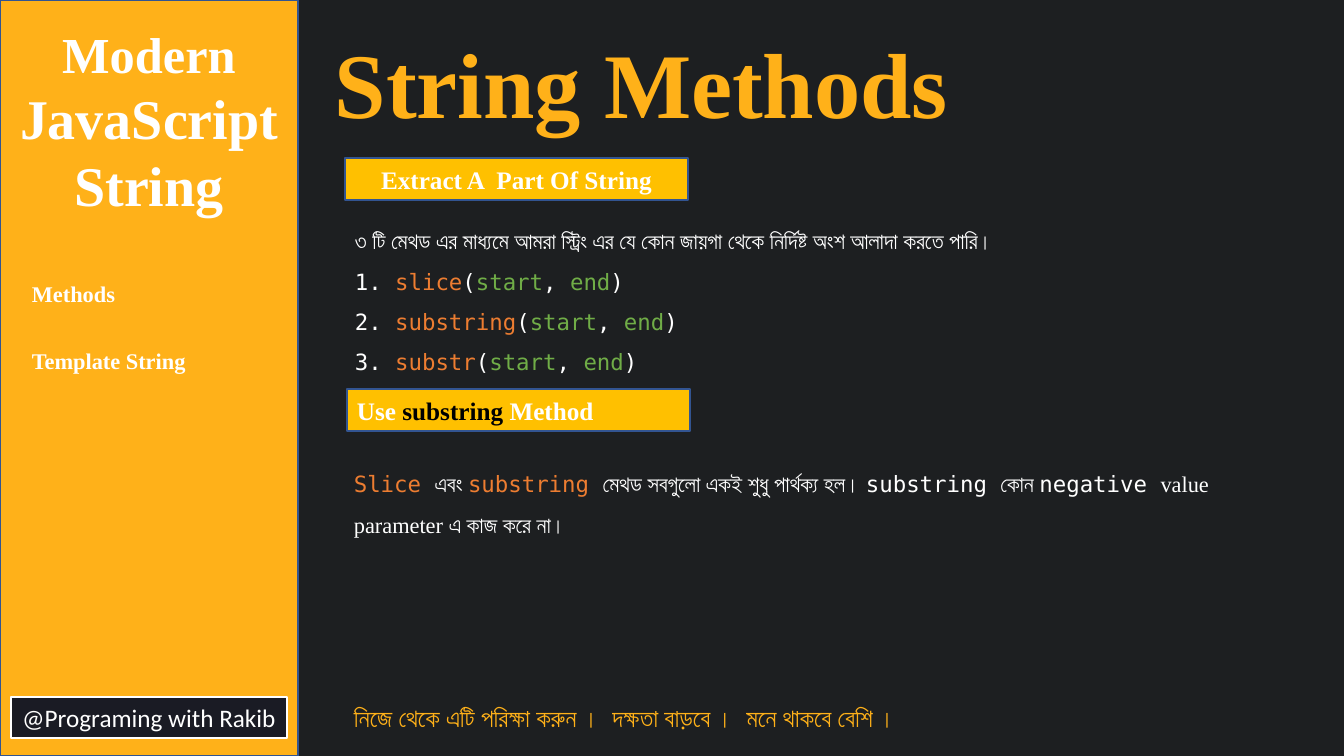
"""Build the slide on JavaScript string methods."""
import lxml.etree
import pptx
import pptx.dml.color
import pptx.enum.shapes
import pptx.enum.text
import pptx.oxml
import pptx.oxml.ns
import pptx.util

RGBColor = pptx.dml.color.RGBColor
DARK = RGBColor(0x1D, 0x1F, 0x21)
AMBER = RGBColor(0xFF, 0xB1, 0x19)
GOLD = RGBColor(0xFF, 0xC0, 0x00)
NAVY = RGBColor(0x1A, 0x1B, 0x24)
BLUE = RGBColor(0x32, 0x54, 0x91)
WHITE = RGBColor(0xFF, 0xFF, 0xFF)
BLACK = RGBColor(0x00, 0x00, 0x00)
ORANGE = RGBColor(0xED, 0x7D, 0x31)
GREEN = RGBColor(0x70, 0xAD, 0x47)
SERIF = "Times New Roman"
MONO = "DejaVu Sans Mono"
LATO = "Lato"
CENTER = pptx.enum.text.PP_ALIGN.CENTER
LEFT = pptx.enum.text.PP_ALIGN.LEFT
MIDDLE = pptx.enum.text.MSO_ANCHOR.MIDDLE
TOP = pptx.enum.text.MSO_ANCHOR.TOP
GROW = pptx.enum.text.MSO_AUTO_SIZE.SHAPE_TO_FIT_TEXT
FIXED = pptx.enum.text.MSO_AUTO_SIZE.NONE
EMU_PER_PX = 914400 / 100.8
SHADOW = (
    f'<a:effectLst {pptx.oxml.ns.nsdecls("a")}>'
    '<a:outerShdw blurRad="38100" dist="38100" dir="5400000" algn="t" rotWithShape="0">'
    '<a:srgbClr val="000000"><a:alpha val="50000"/></a:srgbClr>'
    '</a:outerShdw></a:effectLst>'
)

presentation = pptx.Presentation()
presentation.slide_width = round(1344 * EMU_PER_PX)
presentation.slide_height = round(756 * EMU_PER_PX)
slide = presentation.slides.add_slide(presentation.slide_layouts[6])
slide.background.fill.solid()
slide.background.fill.fore_color.rgb = DARK


def add_box(bounds, fill=None, line=None, line_width=1):
    left, top, width, height = (round(value * EMU_PER_PX) for value in bounds)
    if fill is None:
        return slide.shapes.add_textbox(left, top, width, height)
    shape = slide.shapes.add_shape(
        pptx.enum.shapes.MSO_SHAPE.RECTANGLE, left, top, width, height)
    shape.shadow.inherit = False
    shape.fill.solid()
    shape.fill.fore_color.rgb = fill
    shape.line.color.rgb = line
    shape.line.width = pptx.util.Pt(line_width)
    return shape


def write_text(shape, paragraphs, size=16, font=SERIF, color=WHITE, bold=False, align=LEFT,
               spacing=None, wrap=True, fit=GROW, anchor=TOP, shadow=False):
    frame = shape.text_frame
    frame.word_wrap = wrap
    frame.auto_size = fit
    frame.vertical_anchor = anchor
    for index, pieces in enumerate(paragraphs):
        paragraph = frame.add_paragraph() if index else frame.paragraphs[0]
        paragraph.alignment = align
        if spacing:
            paragraph.line_spacing = spacing
        for text, changes in pieces:
            if text == "\n":
                paragraph.add_line_break()
                line_break = paragraph._p[-1]
                properties = lxml.etree.SubElement(line_break, pptx.oxml.ns.qn("a:rPr"))
                properties.set("sz", str(size * 100))
                continue
            run = paragraph.add_run()
            run.text = text
            run.font.size = pptx.util.Pt(changes.get("size", size))
            run.font.bold = bold
            run.font.color.rgb = changes.get("color", color)
            if shadow:
                run.font._element.append(pptx.oxml.parse_xml(SHADOW))
            run.font.name = changes.get("font", font)


add_box((0, 0, 298, 756), AMBER, BLUE)
write_text(add_box((4, 18, 290, 275)),
           [[("Modern", {"size": 36})], [("JavaScript", {})], [("String", {})]],
           size=40, bold=True, align=CENTER, wrap=False, fit=FIXED, shadow=True)
write_text(add_box((22, 235, 187, 134)),
           [[("Methods", {}), ("\n", {}), ("Template String", {})]],
           bold=True, spacing=2.5, wrap=False, shadow=True)
write_text(add_box((325, 21, 933, 122)), [[("String Methods", {})]],
           size=66, color=AMBER, bold=True)
write_text(add_box((11, 697, 276, 41), NAVY, WHITE, 1.5),
           [[("@Programing with Rakib", {})]],
           size=18, font="Calibri", align=CENTER, wrap=False)

method_lines = [[("৩ টি মেথড এর মাধ্যমে আমরা স্ট্রিং এর যে কোন জায়গা থেকে নির্দিষ্ট অংশ আলাদা করতে পারি।",
                  {"font": LATO})]]
for number, method in enumerate(("slice", "substring", "substr"), 1):
    method_lines.append([
        (f"{number}. ", {}), (method, {"color": ORANGE}), ("(", {}),
        ("start", {"color": GREEN}), (", ", {}), ("end", {"color": GREEN}), (")", {})])
write_text(add_box((345, 209, 993, 169)), method_lines, font=MONO, spacing=1.5)

write_text(add_box((345, 158, 343, 42), GOLD, BLUE), [[("Extract A  Part Of String", {})]],
           size=18, bold=True, align=CENTER, fit=FIXED, anchor=MIDDLE)
write_text(add_box((347, 389, 343, 42), GOLD, BLUE),
           [[("Use ", {}), ("substring", {"color": BLACK}), (" Method", {})]],
           size=18, bold=True, fit=FIXED, anchor=MIDDLE)

code = {"font": MONO}
keyword = {"font": MONO, "color": ORANGE}
write_text(add_box((344, 452, 965, 88)),
           [[("Slice ", keyword), ("এবং ", {}), ("substring ", keyword),
             ("মেথড সবগুলো একই শুধু পার্থক্য হল। ", {}), ("substring ", code), ("কোন ", {}),
             ("negative ", code), ("value parameter", {"font": SERIF}),
             (" এ কাজ করে না।", {})]],
           font=LATO, spacing=1.5)
write_text(add_box((344, 697, 686, 41)),
           [[("নিজে থেকে এটি পরিক্ষা করুন ।  দক্ষতা বাড়বে ।  মনে থাকবে বেশি ।", {})]],
           size=18, font=LATO, color=AMBER)

presentation.save("out.pptx")
